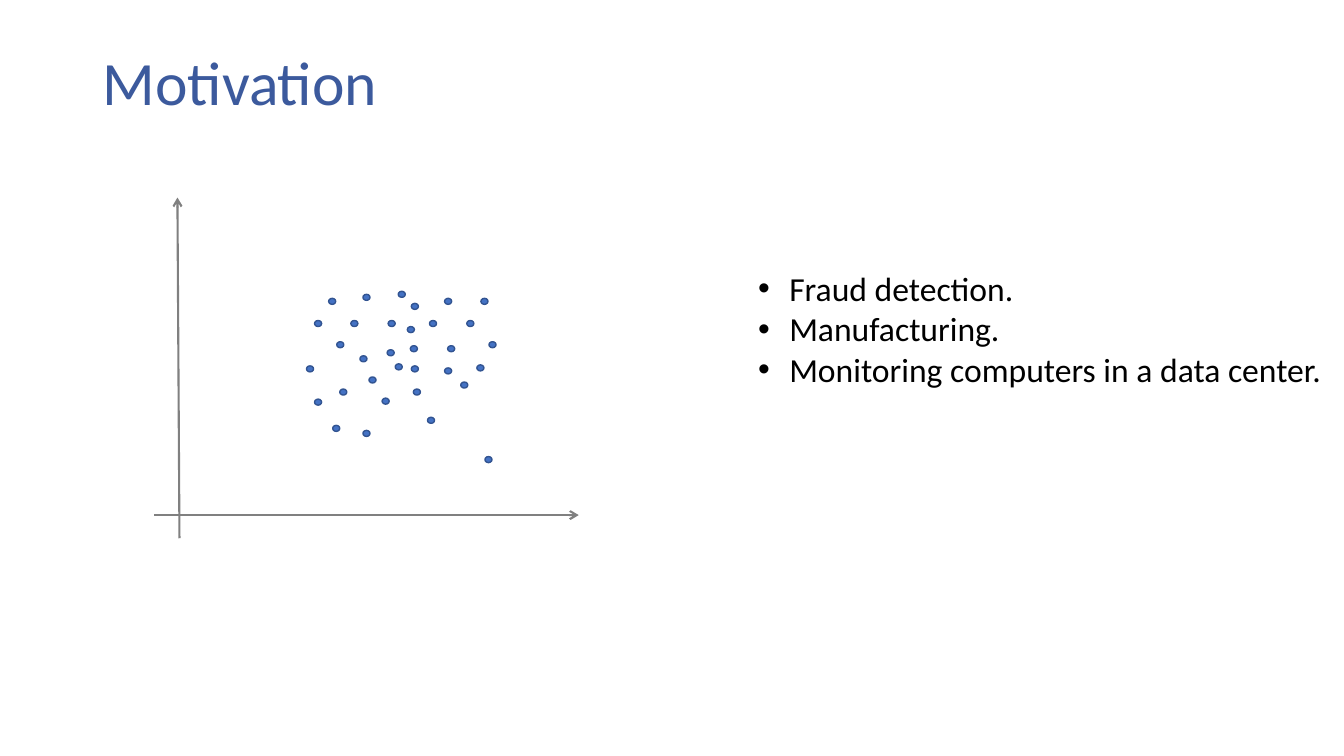
from typing import NamedTuple

from lxml.etree import SubElement
from pptx import Presentation
from pptx.dml.color import RGBColor
from pptx.enum.shapes import MSO_CONNECTOR as Link, MSO_SHAPE as Kind
from pptx.enum.text import MSO_ANCHOR as Anchor, MSO_AUTO_SIZE as Fit
from pptx.oxml.ns import qn
from pptx.shapes.shapetree import GroupShapes, SlideShapes
from pptx.text.text import TextFrame, _Paragraph as Para
from pptx.util import Inches, Length, Pt

TITLE = RGBColor(0x3C, 0x5A, 0x9D)
BLACK = RGBColor(0, 0, 0)
GRAY = RGBColor(0x80, 0x80, 0x80)
BLUE = RGBColor(0x44, 0x72, 0xC4)
NAVY = RGBColor(0x32, 0x54, 0x91)

FONT = "Calibri"
CELL = Inches(0.01)
COLS, ROWS = 1333, 750
INDENT = 31


class Box(NamedTuple):
    col: int
    row: int
    wide: int
    high: int


class Axis(NamedTuple):
    col: int
    row: int
    end_col: int
    end_row: int


class Dot(NamedTuple):
    col: int
    row: int
    wide: int = 7
    high: int = 6


AXES = [Axis(178, 534, 176, 196), Axis(153, 511, 574, 511)]

DOTS = [Dot(*spot) for spot in (
    (408, 301), (441, 296), (360, 292), (426, 318), (326, 296), (348, 318),
    (312, 318), (334, 339), (477, 296), (330, 422), (463, 318), (485, 339),
    (385, 318), (404, 324), (384, 347), (392, 361), (395, 289), (444, 343),
    (407, 343), (408, 363), (304, 363), (357, 353), (312, 396), (337, 386),
    (473, 362), (457, 379), (424, 414), (441, 365), (360, 427), (410, 386),
    (366, 374), (379, 395), (481, 453),
)]

USES = [
    "Fraud detection.",
    "Manufacturing.",
    "Monitoring computers in a data center.",
]


def span(cells: int) -> Length:
    """Turn a count of grid cells into a length."""
    return Length(cells * CELL)


def add_box(shapes: SlideShapes, box: Box) -> TextFrame:
    return shapes.add_textbox(*map(span, box)).text_frame


def add_run(para: Para, text: str, size: int, color: RGBColor) -> None:
    run = para.add_run()
    run.text = text
    run.font.name = FONT
    run.font.size = Pt(size)
    run.font.color.rgb = color


def add_bullet(para: Para) -> None:
    props = para._p.get_or_add_pPr()
    props.set("marL", str(span(INDENT)))
    props.set("indent", str(-span(INDENT)))
    SubElement(props, qn("a:buFont"), typeface="Arial")
    SubElement(props, qn("a:buChar"), char="•")


def draw_axis(shapes: GroupShapes, axis: Axis) -> None:
    link = shapes.add_connector(Link.STRAIGHT, *map(span, axis))
    link.line.color.rgb = GRAY
    link.line.width = Pt(1.5)
    SubElement(link.line._get_or_add_ln(), qn("a:tailEnd"), type="arrow")
    SubElement(link._element.spPr, qn("a:effectLst"))


def draw_dot(shapes: GroupShapes, dot: Dot) -> None:
    oval = shapes.add_shape(Kind.OVAL, *map(span, dot))
    oval.shadow.inherit = False
    oval.fill.solid()
    oval.fill.fore_color.rgb = BLUE
    oval.line.color.rgb = NAVY
    oval.line.width = Pt(1)


def draw_title(shapes: SlideShapes) -> None:
    frame = add_box(shapes, Box(92, 40, 1150, 90))
    frame.word_wrap = True
    frame.vertical_anchor = Anchor.MIDDLE
    para = frame.paragraphs[0]
    para.line_spacing = 0.9
    add_run(para, "Motivation", 44, TITLE)


def draw_plot(shapes: SlideShapes) -> None:
    plot = shapes.add_group_shape().shapes
    for axis in AXES:
        draw_axis(plot, axis)
    for dot in DOTS:
        draw_dot(plot, dot)


def draw_uses(shapes: SlideShapes) -> None:
    frame = add_box(shapes, Box(742, 261, 584, 131))
    frame.word_wrap = False
    frame.auto_size = Fit.SHAPE_TO_FIT_TEXT
    for index, text in enumerate(USES):
        para = frame.add_paragraph() if index else frame.paragraphs[0]
        add_bullet(para)
        add_run(para, text, 24, BLACK)


def main() -> None:
    deck = Presentation()
    deck.slide_width, deck.slide_height = span(COLS), span(ROWS)
    shapes = deck.slides.add_slide(deck.slide_layouts[6]).shapes
    draw_title(shapes)
    draw_plot(shapes)
    draw_uses(shapes)
    deck.save("out.pptx")


if __name__ == "__main__":
    main()
